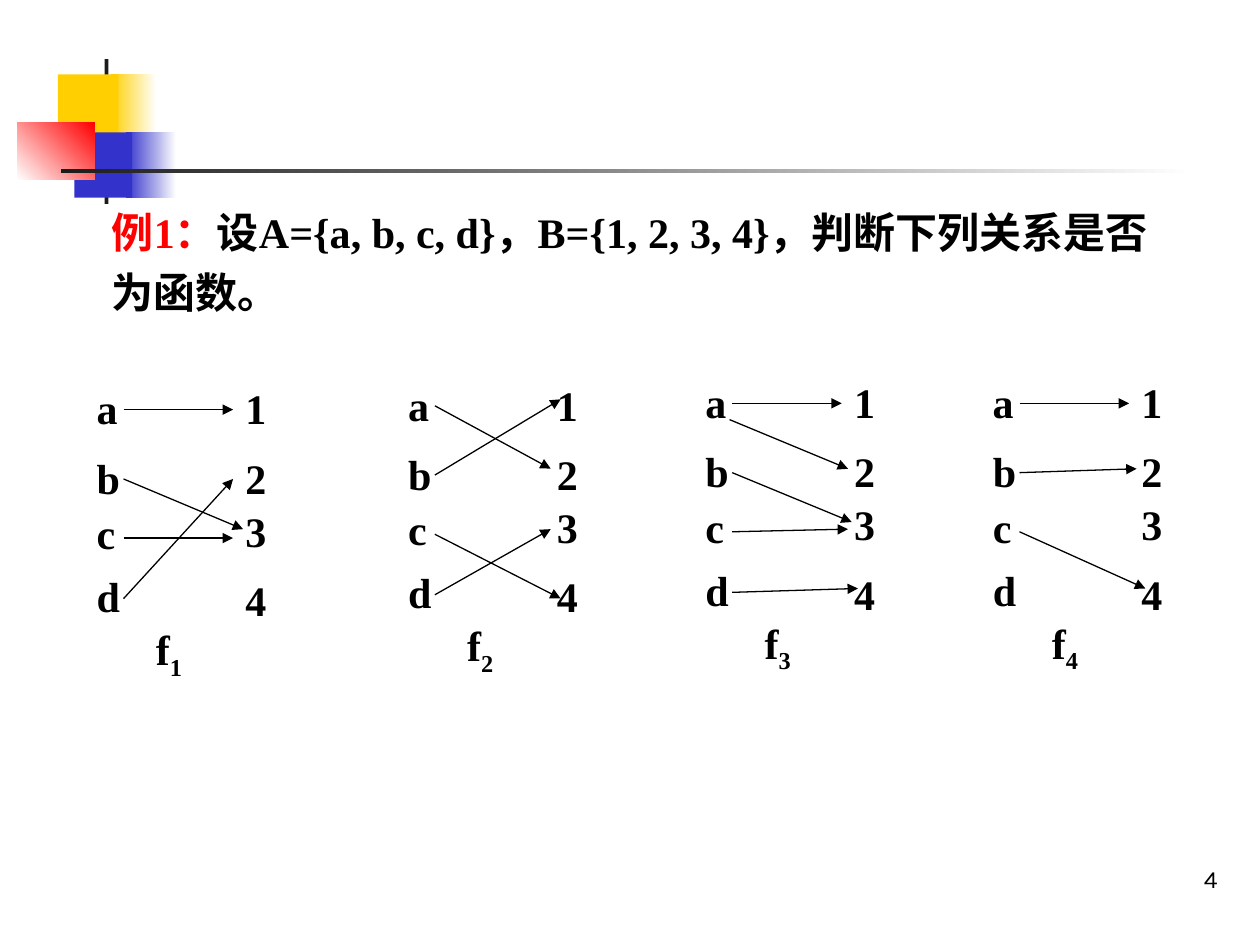
from dataclasses import dataclass

from lxml.etree import SubElement
from pptx import Presentation
from pptx.dml.color import RGBColor as RGB
from pptx.enum.shapes import MSO_CONNECTOR as CONN, MSO_SHAPE as SHAPE
from pptx.enum.text import MSO_ANCHOR as ANCHOR, MSO_AUTO_SIZE as AUTO, PP_ALIGN as ALIGN
from pptx.oxml.ns import qn
from pptx.util import Pt


@dataclass(frozen=True)
class Theme:
    ink: str = "000000"
    red: str = "FF0000"
    yellow: str = "FFCF01"
    blue: str = "3333CC"
    dark: str = "1C1C1C"
    white: str = "FFFFFF"
    serif: str = "Times New Roman"
    sans: str = "Karla"
    body: int = 24
    number: int = 14
    line: float = 0.75


T = Theme()

DECOR = [
    ((63.4, 42.5, 25.9, 37.4), (T.yellow, T.white), 0),
    ((72, 75.6, 28.8, 37.4), (T.blue, T.white), 0),
    ((59.8, 33.8, 2.2, 82.8), (T.dark,), 0),
    ((33.1, 42.5, 34.6, 37.4), (T.yellow,), 0),
    ((42.5, 75.6, 33.1, 37.4), (T.blue,), 0),
    ((10.1, 69.8, 43.9, 33.1), (T.white, T.red), 45),
    ((34.6, 96.5, 648, 2.5), (T.dark, T.white), 0),
]
QUESTION = [
    ("例1：", T.red),
    ("设A={a, b, c, d}，B={1, 2, 3, 4}，判断下列关系是否为函数。", T.ink),
]
PAGE = "4"

DOMAIN = [("a", 0, 26.6), ("b", 39.6, 28.1), ("c", 71.3, 25.2), ("d", 107.3, 28.1)]
RANGE = [("1", 0), ("2", 39.6), ("3", 69.8), ("4", 109.4)]
RANGE_X, DIGIT_W, ROW_H = 85, 26.6, 36
LABEL_BOX = (33.8, 137.6, 39.6, ROW_H)
STARTS = {
    "a": (22.4, 18.8),
    "b": (22.4, 58.4),
    "c": (22.4, 92.2),
    "d": (22.4, 126.8),
    "a low": (20.9, 28.1),
}
RELATIONS = [
    ((48.2, 215.3), [("a", 85, 18.8), ("b", 90.7, 87.1), ("c", 85, 92.2), ("d", 85, 58.4)]),
    ((226.1, 213.1), [("a", 88.6, 54.7), ("b", 94.3, 15.1), ("c", 94.3, 128.9), ("d", 88.6, 89.3)]),
    ((396, 211.7), [("a", 85, 18.8), ("b", 90.7, 86.6), ("c", 88.6, 90.7), ("d", 94.3, 124.6),
                    ("a low", 88.6, 56.2)]),
    ((560.2, 211.7), [("a", 85, 18.8), ("b", 89.3, 56.2), ("c", 94.3, 124.6)]),
]


def add_block(shapes, box, colors, angle):
    sp = shapes.add_shape(SHAPE.RECTANGLE, *map(Pt, box))
    sp.shadow.inherit = False
    sp.line.fill.background()
    if len(colors) == 1:
        sp.fill.solid()
        sp.fill.fore_color.rgb = RGB.from_string(colors[0])
        return
    sp.fill.gradient()
    sp.fill.gradient_angle = angle
    for stop, color in zip(sp.fill.gradient_stops, colors):
        stop.color.rgb = RGB.from_string(color)


def add_text(shapes, box, runs, wrap=True, size=T.body, font=T.serif, bold=True):
    tf = shapes.add_textbox(*map(Pt, box)).text_frame
    tf.word_wrap = wrap
    p = tf.paragraphs[0]
    p.font.size, p.font.name, p.font.bold = Pt(size), font, bold
    for text, color in runs:
        r = p.add_run()
        r.text = text
        r.font.color.rgb = RGB.from_string(color)
    return tf


def add_arrow(shapes, start, end):
    line = shapes.add_connector(CONN.STRAIGHT, *map(Pt, (*start, *end)))
    line.line.color.rgb = RGB.from_string(T.ink)
    line.line.width = Pt(T.line)
    SubElement(line.line._get_or_add_ln(), qn("a:tailEnd"), type="triangle")
    SubElement(line._element.spPr, qn("a:effectLst"))


def add_relation(shapes, number, origin, arrows):
    x0, y0 = origin
    items = [(text, 0, y, w) for text, y, w in DOMAIN]
    items += [(text, RANGE_X, y, DIGIT_W) for text, y in RANGE]
    for text, x, y, w in items:
        tf = add_text(shapes, (x0 + x, y0 + y, w, ROW_H), [(text, T.ink)], wrap=False)
        tf.auto_size = AUTO.SHAPE_TO_FIT_TEXT
    for name, x, y in arrows:
        sx, sy = STARTS[name]
        add_arrow(shapes, (x0 + sx, y0 + sy), (x0 + x, y0 + y))
    x, y, w, h = LABEL_BOX
    tf = add_text(shapes, (x0 + x, y0 + y, w, h), [("f", T.ink), (str(number), T.ink)])
    tf.auto_size = AUTO.SHAPE_TO_FIT_TEXT
    tf.paragraphs[0].runs[1]._r.get_or_add_rPr().set("baseline", "-25000")


def main():
    prs = Presentation()
    prs.slide_width, prs.slide_height = Pt(720), Pt(540)
    s = prs.slides.add_slide(prs.slide_layouts[6])
    decor = s.shapes.add_group_shape()
    for block in DECOR:
        add_block(decor.shapes, *block)
    tf = add_text(s.shapes, (553, 478.1, 149.8, 36), [(PAGE, T.ink)],
                  size=T.number, font=T.sans, bold=False)
    tf.vertical_anchor = ANCHOR.BOTTOM
    tf.paragraphs[0].alignment = ALIGN.RIGHT
    tf = add_text(s.shapes, (56.9, 108.7, 623.5, 76.3), QUESTION)
    tf.paragraphs[0].line_spacing = 1.2
    for number, (origin, arrows) in enumerate(RELATIONS, 1):
        add_relation(s.shapes.add_group_shape().shapes, number, origin, arrows)
    prs.save("out.pptx")


if __name__ == "__main__":
    main()
